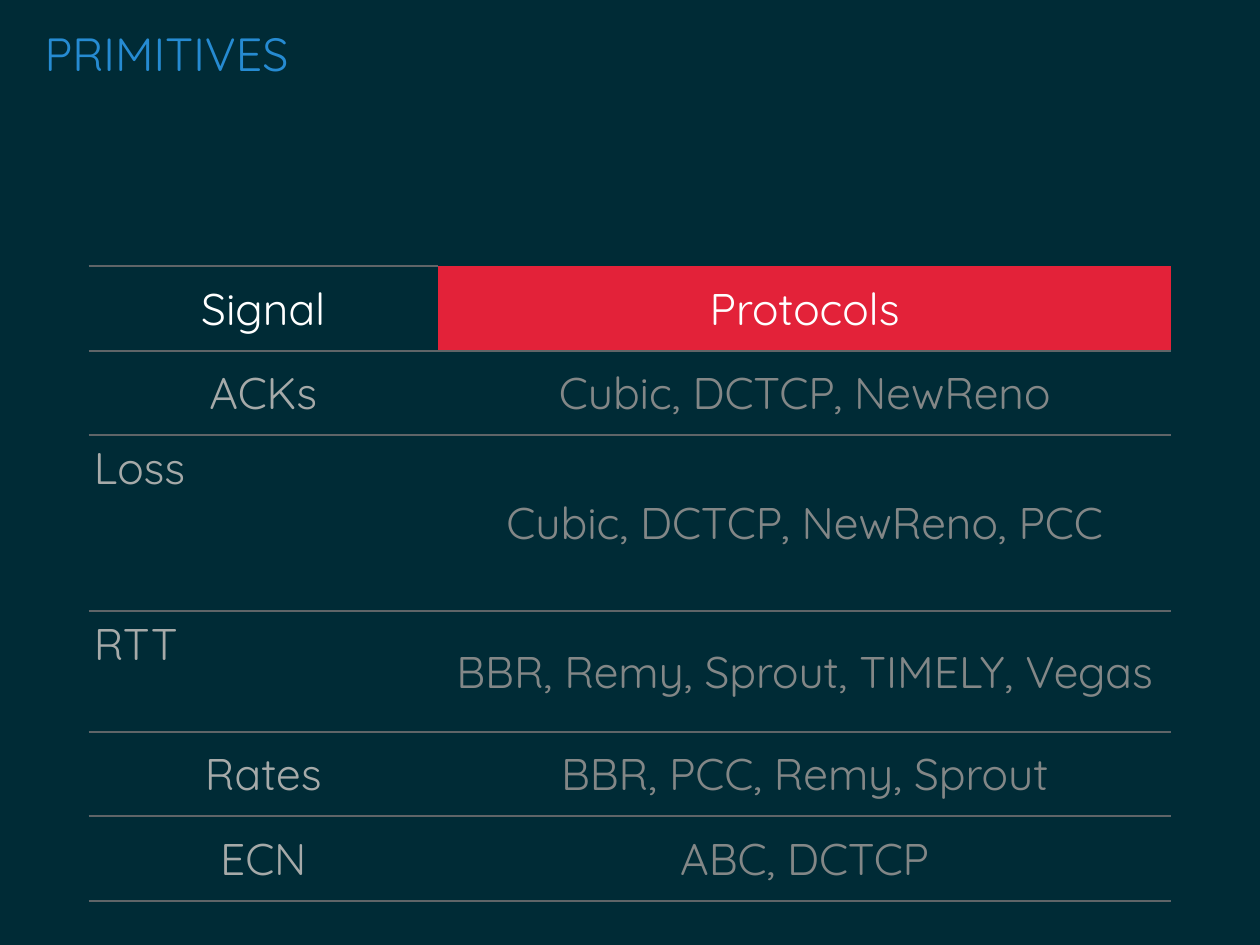
from lxml import etree
from pptx import Presentation
from pptx.dml.color import RGBColor
from pptx.enum.text import MSO_ANCHOR, MSO_AUTO_SIZE, PP_ALIGN
from pptx.oxml.ns import qn
from pptx.util import Pt

LEFT, CENTER = PP_ALIGN.LEFT, PP_ALIGN.CENTER
TOP, MIDDLE = MSO_ANCHOR.TOP, MSO_ANCHOR.MIDDLE
NO_AUTOFIT = MSO_AUTO_SIZE.NONE
FONT = "Quicksand"
INSET = Pt(4.25)
NAVY, BLUE, RED, WHITE = "002B36", "268BD2", "E32239", "FFFFFF"
SIGNAL_GREY, PROTOCOL_GREY, RULE_GREY = "A6AAA9", "838787", "5F6568"
COLUMN_WIDTHS = (284, 596)
ROWS = (
    ("Signal", "Protocols", 68.5, CENTER, MIDDLE),
    ("ACKs", "Cubic, DCTCP, NewReno", 68.5, CENTER, MIDDLE),
    ("Loss", "Cubic, DCTCP, NewReno, PCC", 143, LEFT, TOP),
    ("RTT", "BBR, Remy, Sprout, TIMELY, Vegas", 98.5, LEFT, TOP),
    ("Rates", "BBR, PCC, Remy, Sprout", 68.5, CENTER, MIDDLE),
    ("ECN", "ABC, DCTCP", 68.5, CENTER, MIDDLE),
)


def rgb(value):
    return RGBColor.from_string(value)


def add_span(para, text, size, color):
    span = para.add_run()
    span.text = text
    span.font.name = FONT
    span.font.size = Pt(size)
    span.font.bold = False
    span.font.color.rgb = rgb(color)


def set_insets(box):
    box.margin_left = box.margin_right = INSET
    box.margin_top = box.margin_bottom = INSET


def set_borders(cell, ruled_sides):
    properties = cell._tc.get_or_add_tcPr()
    for index, side in enumerate("LRTB"):
        line = etree.Element(qn(f"a:ln{side}"))
        if side in ruled_sides:
            line.set("w", str(Pt(2)))
            fill = etree.SubElement(line, qn("a:solidFill"))
            etree.SubElement(fill, qn("a:srgbClr"), val=RULE_GREY)
        else:
            line.set("w", "0")
            etree.SubElement(line, qn("a:noFill"))
        properties.insert(index, line)


def fill_cell(cell, text, color, align, anchor, background, ruled_sides):
    set_insets(cell)
    cell.vertical_anchor = anchor
    para = cell.text_frame.paragraphs[0]
    para.alignment = align
    add_span(para, text, 36, color)
    if background:
        cell.fill.solid()
        cell.fill.fore_color.rgb = rgb(background)
    else:
        cell.fill.background()
    set_borders(cell, ruled_sides)


def add_title(page, text, left, top, width, height):
    title = page.shapes.title
    title.left, title.top = Pt(left), Pt(top)
    title.width, title.height = Pt(width), Pt(height)
    frame = title.text_frame
    set_insets(frame)
    frame.word_wrap = True
    frame.auto_size = NO_AUTOFIT
    frame.vertical_anchor = TOP
    para = frame.paragraphs[0]
    para.alignment = LEFT
    para.line_spacing = 0.8
    add_span(para, text, 37.8, BLUE)


def add_signal_table(page, left, top, width, height):
    table = page.shapes.add_table(
        len(ROWS), len(COLUMN_WIDTHS), Pt(left), Pt(top), Pt(width), Pt(height)
    ).table
    table.first_row = table.horz_banding = False
    for column, column_width in zip(table.columns, COLUMN_WIDTHS):
        column.width = Pt(column_width)
    for index, (signal, protocols, row_height, align, anchor) in enumerate(ROWS):
        table.rows[index].height = Pt(row_height)
        header = index == 0
        signal_color = WHITE if header else SIGNAL_GREY
        protocol_color = WHITE if header else PROTOCOL_GREY
        fill_cell(table.cell(index, 0), signal, signal_color, align, anchor, None, "TB")
        fill_cell(
            table.cell(index, 1), protocols, protocol_color, CENTER, MIDDLE,
            RED if header else None, "B" if header else "TB",
        )


def main():
    deck = Presentation()
    deck.slide_width, deck.slide_height = Pt(1024), Pt(768)
    page = deck.slides.add_slide(deck.slide_layouts[5])
    page.background.fill.solid()
    page.background.fill.fore_color.rgb = rgb(NAVY)
    add_title(page, "PRIMITIVES", 32, 24.5, 960, 57)
    add_signal_table(page, 72, 216.5, sum(COLUMN_WIDTHS), sum(row[2] for row in ROWS))
    deck.save("out.pptx")


if __name__ == "__main__":
    main()
